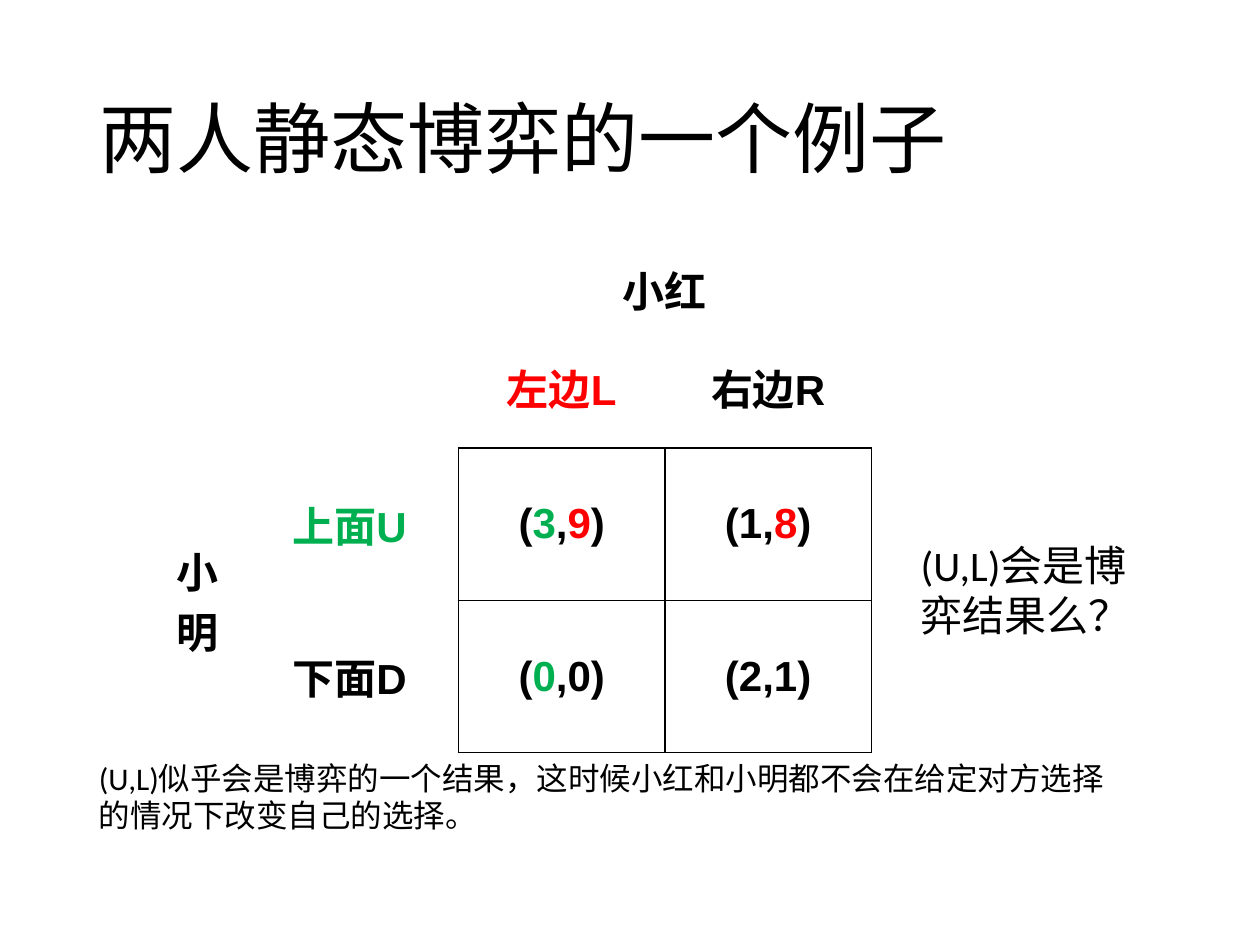
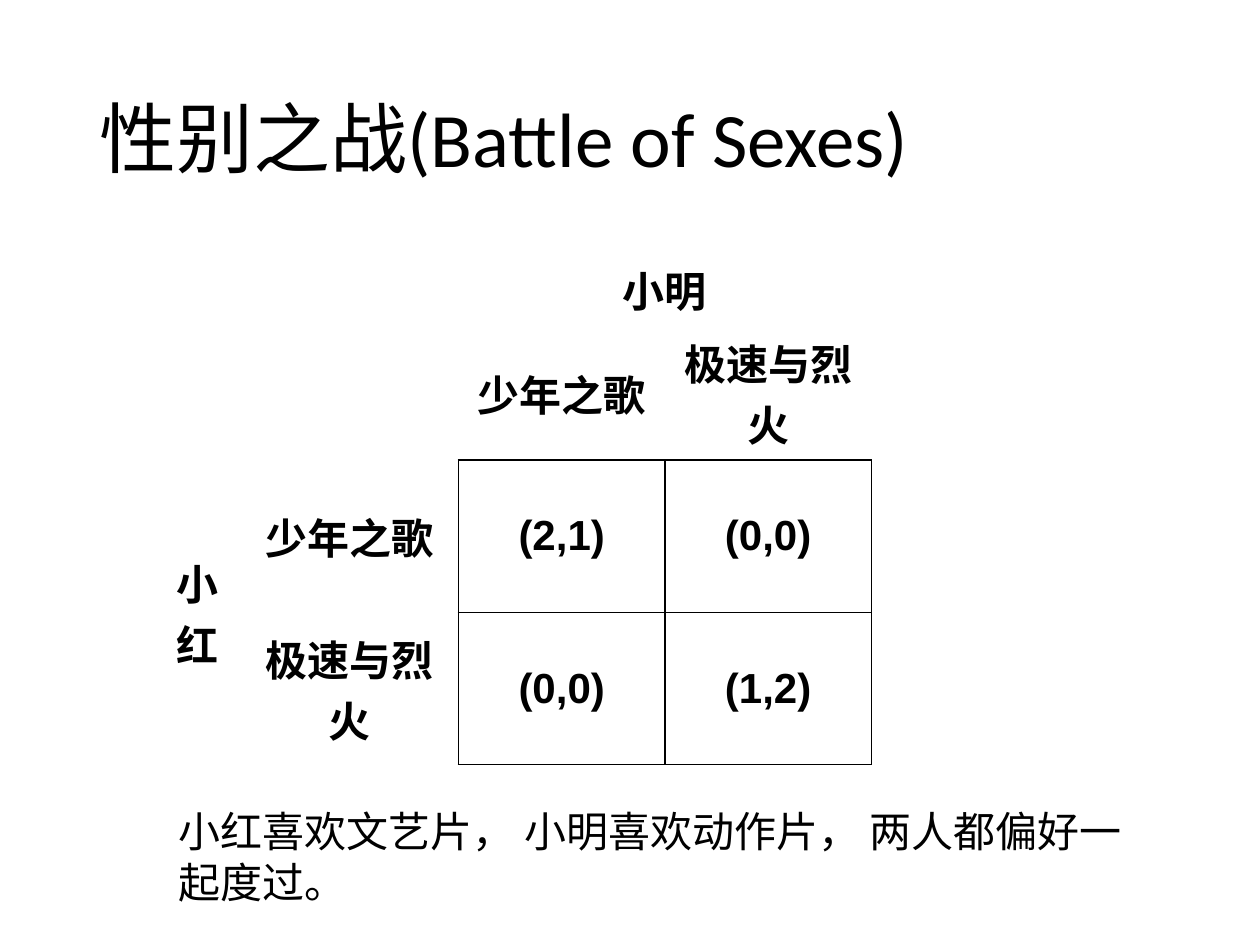
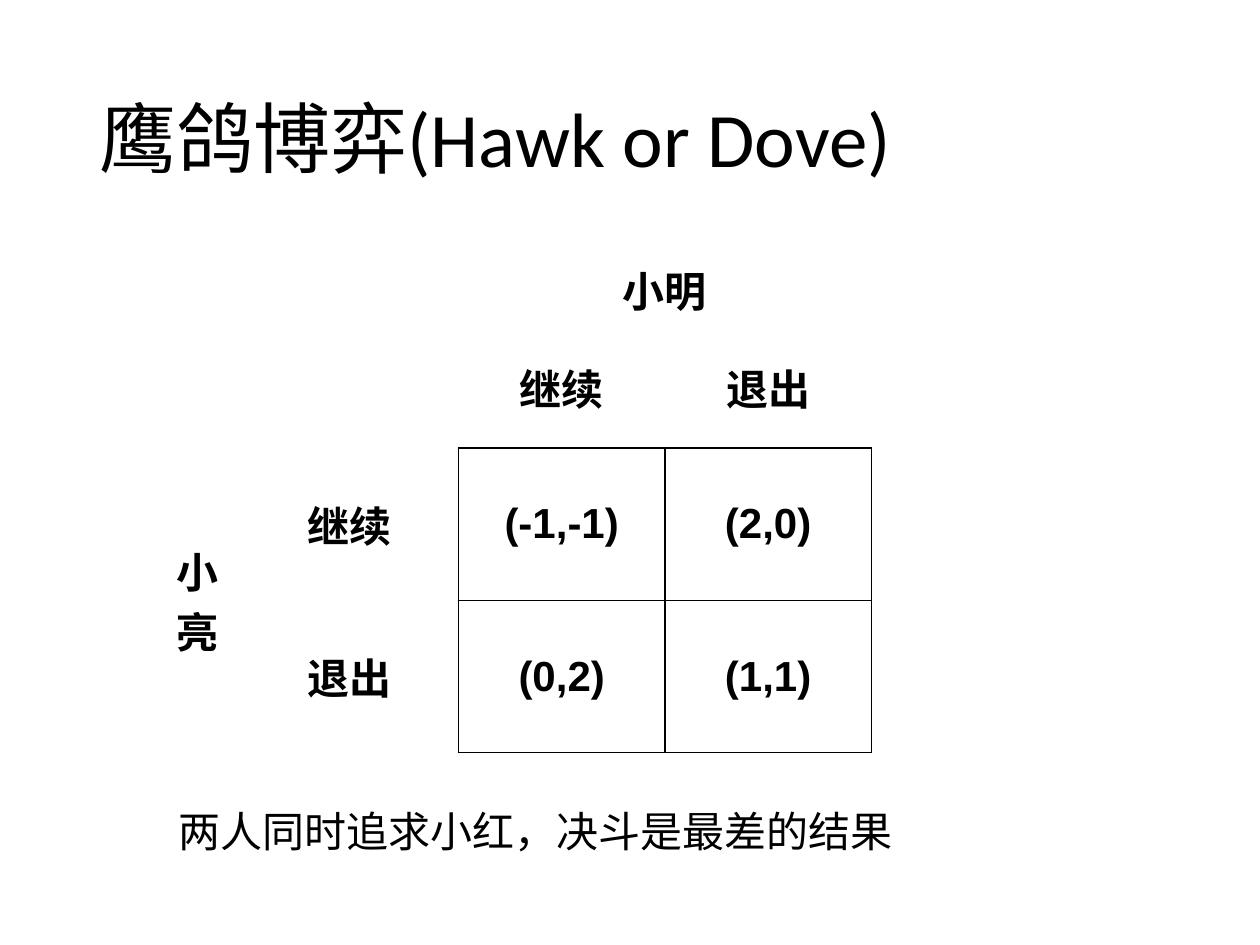
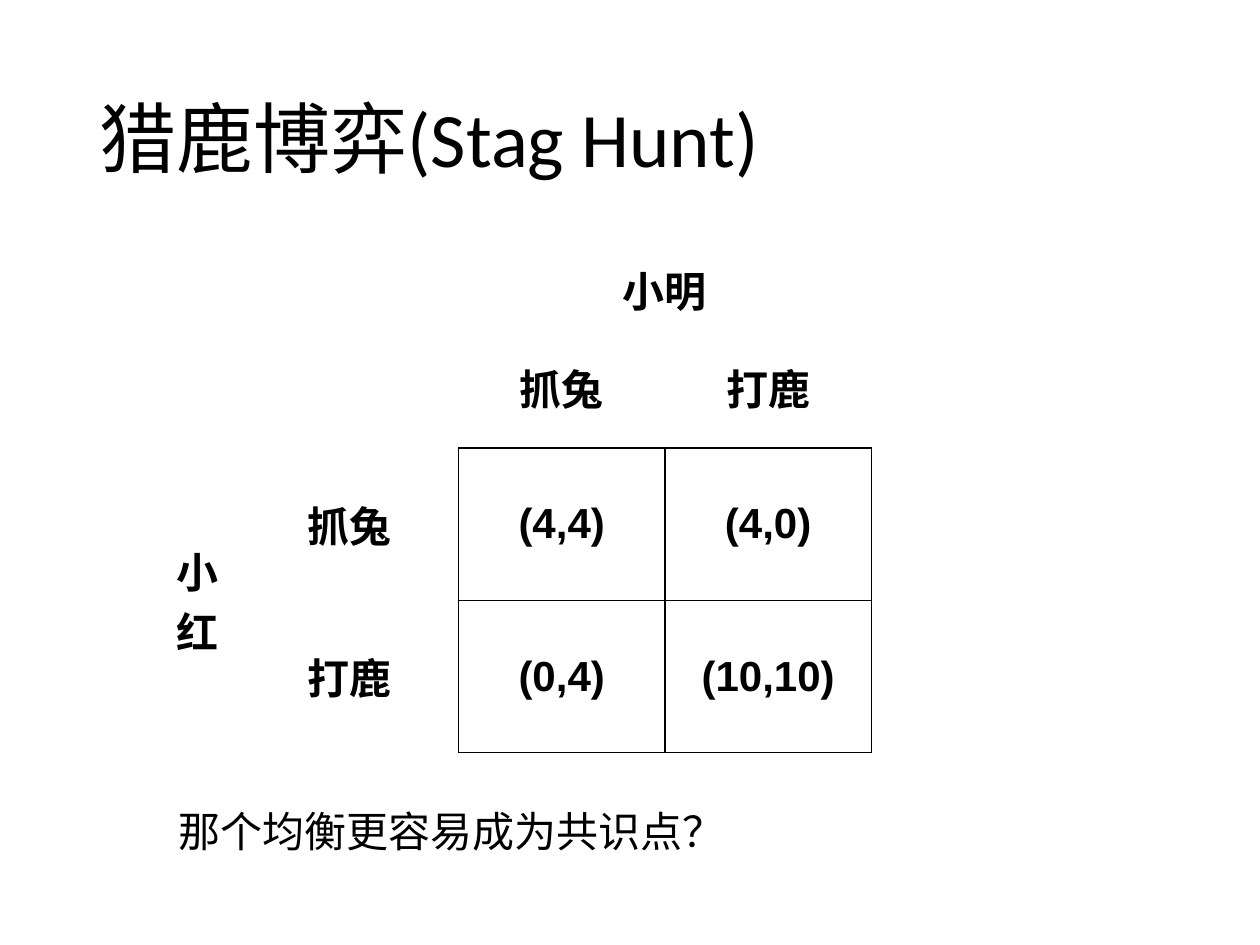
from dataclasses import dataclass

from lxml import etree
from pptx import Presentation
from pptx.dml.color import RGBColor
from pptx.enum.text import MSO_ANCHOR, MSO_AUTO_SIZE, PP_ALIGN
from pptx.oxml.ns import qn
from pptx.util import Pt

BLACK = RGBColor(0, 0, 0)
RED = RGBColor(0xFF, 0, 0)
GREEN = RGBColor(0, 0xB0, 0x50)

BODY_FONT = "Calibri"
TABLE_FONT = "Arial"
NO_STYLE = "{2D5ABB26-0587-4C30-8999-92F81FD0307C}"

TITLE_BOX = (49.5, 29, 621, 104.4)
TABLE_LEFT, TABLE_TOP = 88.5, 144
COL_WIDTHS = (49, 124.5, 118, 118)
ROW_HEIGHTS = (17.3, 70, 87, 87)

# A text is a plain string or a list of (string, colour) runs.
Text = str | list[tuple[str, RGBColor]]


@dataclass(frozen=True)
class Note:
    lines: tuple[str, ...]
    left: float
    top: float
    width: float
    height: float
    size: float = 24
    wrap: bool = False


@dataclass(frozen=True)
class Game:
    title: str
    row_player: str
    col_player: str
    row_moves: tuple[Text, Text]
    col_moves: tuple[Text, Text]
    payoffs: tuple[tuple[Text, Text], tuple[Text, Text]]
    notes: tuple[Note, ...]


def caption(*lines: str, width: float) -> Note:
    return Note(lines, 95, 457, width, 36 if len(lines) == 1 else 65.5)


FILMS = ("少年之歌", "极速与烈火")
HAWK_DOVE = ("继续", "退出")
HARE_STAG = ("抓兔", "打鹿")

GAMES = (
    Game(
        "两人静态博弈的一个例子", "小明", "小红",
        ([("上面U", GREEN)], "下面D"),
        ([("左边L", RED)], "右边R"),
        (
            ([("(", BLACK), ("3", GREEN), (",", BLACK), ("9", RED), (")", BLACK)],
             [("(1,", BLACK), ("8", RED), (")", BLACK)]),
            ([("(", BLACK), ("0", GREEN), (",0)", BLACK)], "(2,1)"),
        ),
        (
            Note(("(U,L)似乎会是博弈的一个结果，这时候小红和小明都不会在给定对方选择的情况下改变自己的选择。",),
                 49.5, 430, 590.5, 51, size=18, wrap=True),
            Note(("(U,L)会是博弈结果么？",), 519, 304.5, 145.5, 65.5, wrap=True),
        ),
    ),
    Game(
        "性别之战(Battle of Sexes)", "小红", "小明", FILMS, FILMS,
        (("(2,1)", "(0,0)"), ("(0,0)", "(1,2)")),
        (caption("小红喜欢文艺片， 小明喜欢动作片， 两人都偏好一", "起度过。", width=580),),
    ),
    Game(
        "鹰鸽博弈(Hawk or Dove)", "小亮", "小明", HAWK_DOVE, HAWK_DOVE,
        (("(-1,-1)", "(2,0)"), ("(0,2)", "(1,1)")),
        (caption("两人同时追求小红，决斗是最差的结果", width=426),),
    ),
    Game(
        "猎鹿博弈(Stag Hunt)", "小红", "小明", HARE_STAG, HARE_STAG,
        (("(4,4)", "(4,0)"), ("(0,4)", "(10,10)")),
        (caption("那个均衡更容易成为共识点？", width=330),),
    ),
)


def write(p, text: Text, *, size: float = 24, font: str = BODY_FONT, bold: bool = False,
          align=PP_ALIGN.LEFT, spacing: float | None = None, east_asian: str | None = None) -> None:
    p.alignment = align
    if spacing:
        p.line_spacing = spacing
    for part, color in [(text, BLACK)] if isinstance(text, str) else text:
        r = p.add_run()
        r.text = part
        r.font.size, r.font.name, r.font.bold = Pt(size), font, bold
        r.font.color.rgb = color
        if east_asian:
            ea = etree.Element(qn("a:ea"), typeface=east_asian)
            r.font._element.find(qn("a:latin")).addnext(ea)


def add_title(s, text: str) -> None:
    sp = s.shapes.title
    sp.left, sp.top, sp.width, sp.height = map(Pt, TITLE_BOX)
    tf = sp.text_frame
    tf.vertical_anchor = MSO_ANCHOR.MIDDLE
    write(tf.paragraphs[0], text, size=44, spacing=0.9, east_asian=BODY_FONT)


def add_note(s, note: Note) -> None:
    sp = s.shapes.add_textbox(*map(Pt, (note.left, note.top, note.width, note.height)))
    tf = sp.text_frame
    tf.word_wrap = note.wrap
    tf.auto_size = MSO_AUTO_SIZE.SHAPE_TO_FIT_TEXT
    for i, line in enumerate(note.lines):
        p = tf.add_paragraph() if i else tf.paragraphs[0]
        write(p, line, size=note.size, east_asian=BODY_FONT)


def set_borders(cell, sides: str) -> None:
    """Draw 1 pt black lines on the given sides, any of L, R, T, B in that order."""
    tc_pr = cell._tc.get_or_add_tcPr()
    for i, side in enumerate(sides):
        ln = etree.Element(qn(f"a:ln{side}"), w=str(Pt(1)))
        fill = etree.SubElement(ln, qn("a:solidFill"))
        etree.SubElement(fill, qn("a:srgbClr"), val=str(BLACK))
        tc_pr.insert(i, ln)


def add_payoff_table(s, game: Game) -> None:
    frame = s.shapes.add_table(
        len(ROW_HEIGHTS), len(COL_WIDTHS), Pt(TABLE_LEFT), Pt(TABLE_TOP),
        Pt(sum(COL_WIDTHS)), Pt(sum(ROW_HEIGHTS)))
    table = frame.table
    table.first_row = table.horz_banding = False
    table._tbl.tblPr.find(qn("a:tableStyleId")).text = NO_STYLE
    for column, width in zip(table.columns, COL_WIDTHS):
        column.width = Pt(width)
    for row, height in zip(table.rows, ROW_HEIGHTS):
        row.height = Pt(height)
    for cell in table.iter_cells():
        cell.fill.background()
        cell.vertical_anchor = MSO_ANCHOR.MIDDLE
    table.cell(0, 2).merge(table.cell(0, 3))
    table.cell(2, 0).merge(table.cell(3, 0))

    def fill_cell(row: int, col: int, text: Text, sides: str = "") -> None:
        cell = table.cell(row, col)
        write(cell.text_frame.paragraphs[0], text, font=TABLE_FONT, bold=True,
              align=PP_ALIGN.CENTER)
        set_borders(cell, sides)

    fill_cell(0, 2, game.col_player)
    fill_cell(2, 0, game.row_player)
    for i in range(2):
        fill_cell(1, 2 + i, game.col_moves[i], "B")
        fill_cell(2 + i, 1, game.row_moves[i], "R")
        for j in range(2):
            fill_cell(2 + i, 2 + j, game.payoffs[i][j], "LRTB")


def main() -> None:
    prs = Presentation()
    prs.slide_width, prs.slide_height = Pt(720), Pt(540)
    title_only = prs.slide_layouts[5]
    for game in GAMES:
        s = prs.slides.add_slide(title_only)
        add_title(s, game.title)
        add_payoff_table(s, game)
        for note in game.notes:
            add_note(s, note)
    prs.save("out.pptx")


if __name__ == "__main__":
    main()
